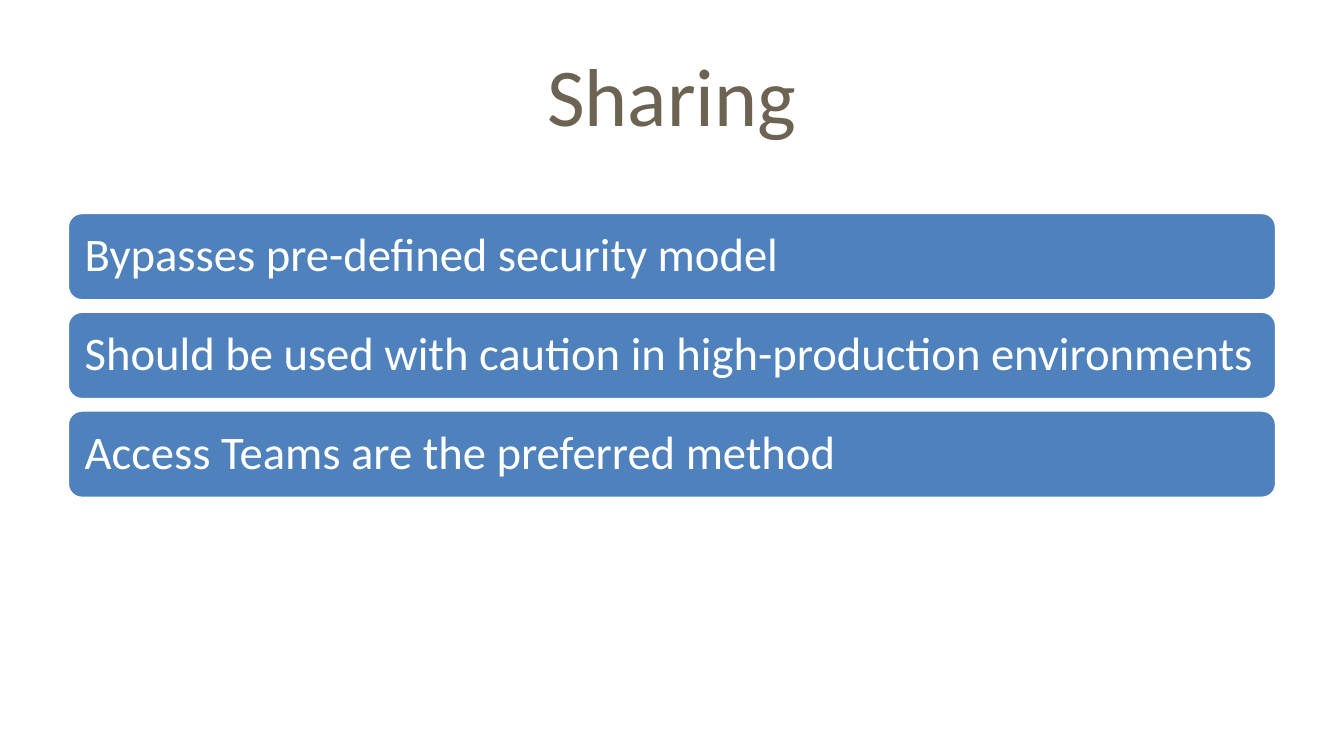
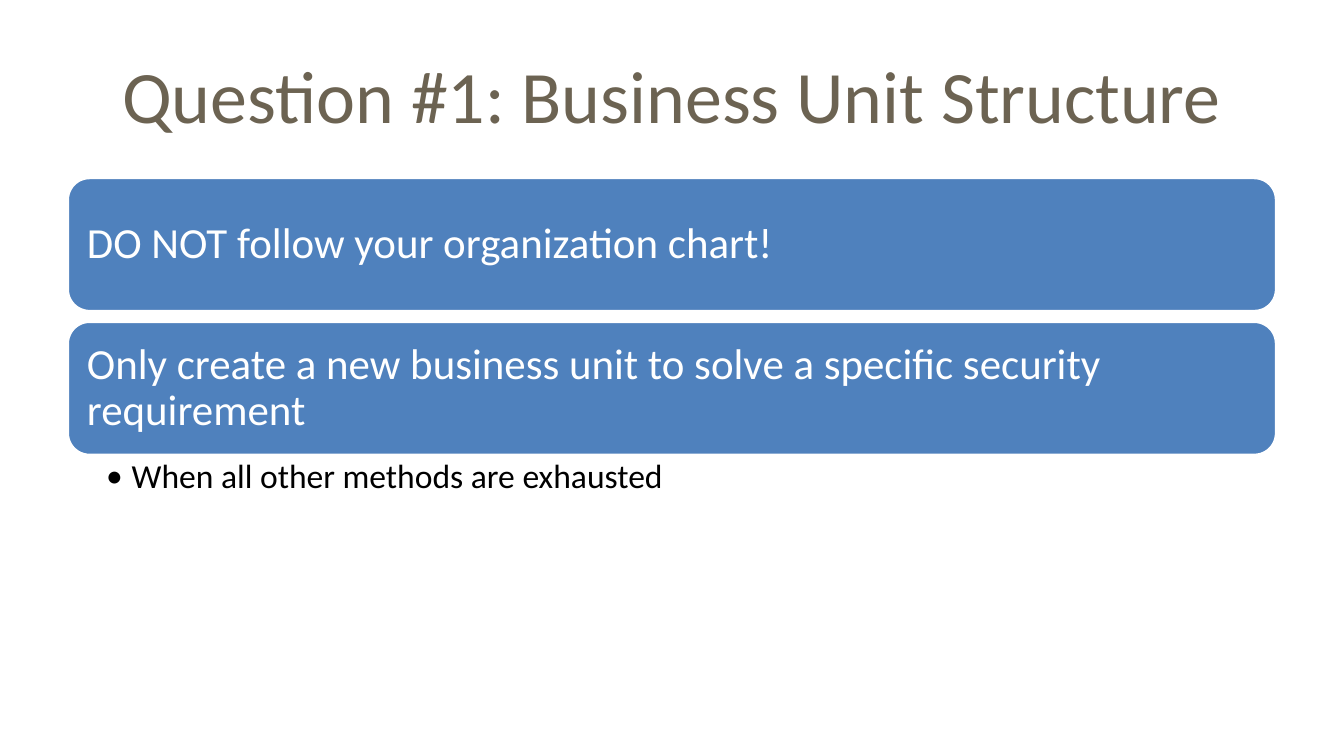
from lxml.etree import SubElement
from pptx import Presentation
from pptx.dml.color import RGBColor
from pptx.enum.shapes import MSO_SHAPE
from pptx.enum.text import MSO_ANCHOR, PP_ALIGN
from pptx.oxml.ns import qn
from pptx.util import Inches, Pt

FONT = "Calibri"
BLUE, WHITE, BLACK, BROWN = "4F81BD", "FFFFFF", "000000", "6C6352"
LEFT, WIDTH = 0.5, 9


def paint(color, code):
    color.rgb = RGBColor.from_string(code)


def write(shape, text, size, color, align=PP_ALIGN.LEFT, anchor=MSO_ANCHOR.MIDDLE,
          pad=(0.1, 0.1, 0.1, 0.1), space=0.9, bullet=None):
    """Fill a shape with one formatted paragraph; pad is left, top, right, bottom."""
    frame = shape.text_frame
    frame.word_wrap = True
    frame.vertical_anchor = anchor
    frame.margin_left, frame.margin_top, frame.margin_right, frame.margin_bottom = map(Inches, pad)
    para = frame.paragraphs[0]
    para.text = text
    para.alignment = align
    para.line_spacing = space
    if bullet:
        para.level = 1
        props = para._p.get_or_add_pPr()
        props.set("marL", str(Inches(0.19)))
        props.set("indent", str(-Inches(0.19)))
        SubElement(props, qn("a:buFont"), typeface=FONT)
        SubElement(props, qn("a:buChar"), char=bullet)
    font = para.runs[0].font
    font.name = FONT
    font.size = Pt(size)
    paint(font.color, color)


def add_page(deck, title, size):
    page = deck.slides.add_slide(deck.slide_layouts[5])
    head = page.shapes.title
    head.left, head.top, head.width, head.height = map(Inches, (LEFT, 0.23, WIDTH, 0.94))
    write(head, title, size, BROWN, align=PP_ALIGN.CENTER, pad=(0.1, 0.05, 0.1, 0.05), space=1)
    return page


def add_bars(page, lines, top, bottom, height, size):
    """Spread one rounded bar per line evenly from top to bottom."""
    pitch = (bottom - top - height) / (len(lines) - 1)
    for i, line in enumerate(lines):
        bar = page.shapes.add_shape(MSO_SHAPE.ROUNDED_RECTANGLE, Inches(LEFT),
                                    Inches(top + i * pitch), Inches(WIDTH), Inches(height))
        bar.shadow.inherit = False
        bar.fill.solid()
        paint(bar.fill.fore_color, BLUE)
        paint(bar.line.color, WHITE)
        bar.line.width = Pt(2)
        write(bar, line, size, WHITE)


def add_note(page, text, top):
    note = page.shapes.add_textbox(Inches(LEFT), Inches(top), Inches(WIDTH), Inches(0.42))
    write(note, text, 18, BLACK, anchor=MSO_ANCHOR.TOP, pad=(0.29, 0.03, 0.18, 0.03), bullet="•")


def main():
    deck = Presentation()
    deck.slide_width, deck.slide_height = Inches(10), Inches(10 * 9 / 16)

    # Sharing
    page = add_page(deck, "Sharing", 44)
    add_bars(page, ["Bypasses pre-defined security model",
                    "Should be used with caution in high-production environments",
                    "Access Teams are the preferred method"],
             top=1.58, bottom=3.71, height=0.66, size=25)

    # Business units
    page = add_page(deck, "Question #1: Business Unit Structure", 39.6)
    base = 3.39
    add_bars(page, ["DO NOT follow your organization chart!",
                    "Only create a new business unit to solve a specific security requirement"],
             top=1.32, bottom=base, height=1, size=23)
    add_note(page, "When all other methods are exhausted", base)

    deck.save("out.pptx")


if __name__ == "__main__":
    main()
